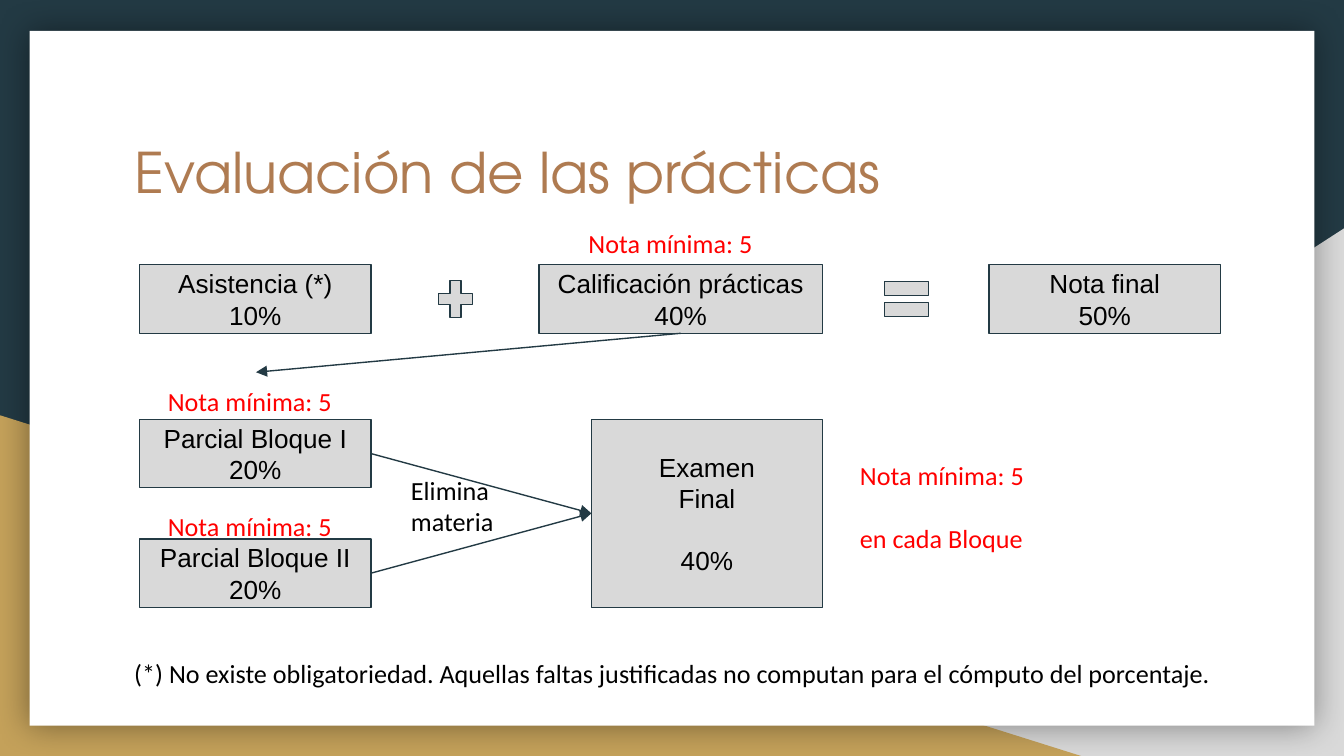
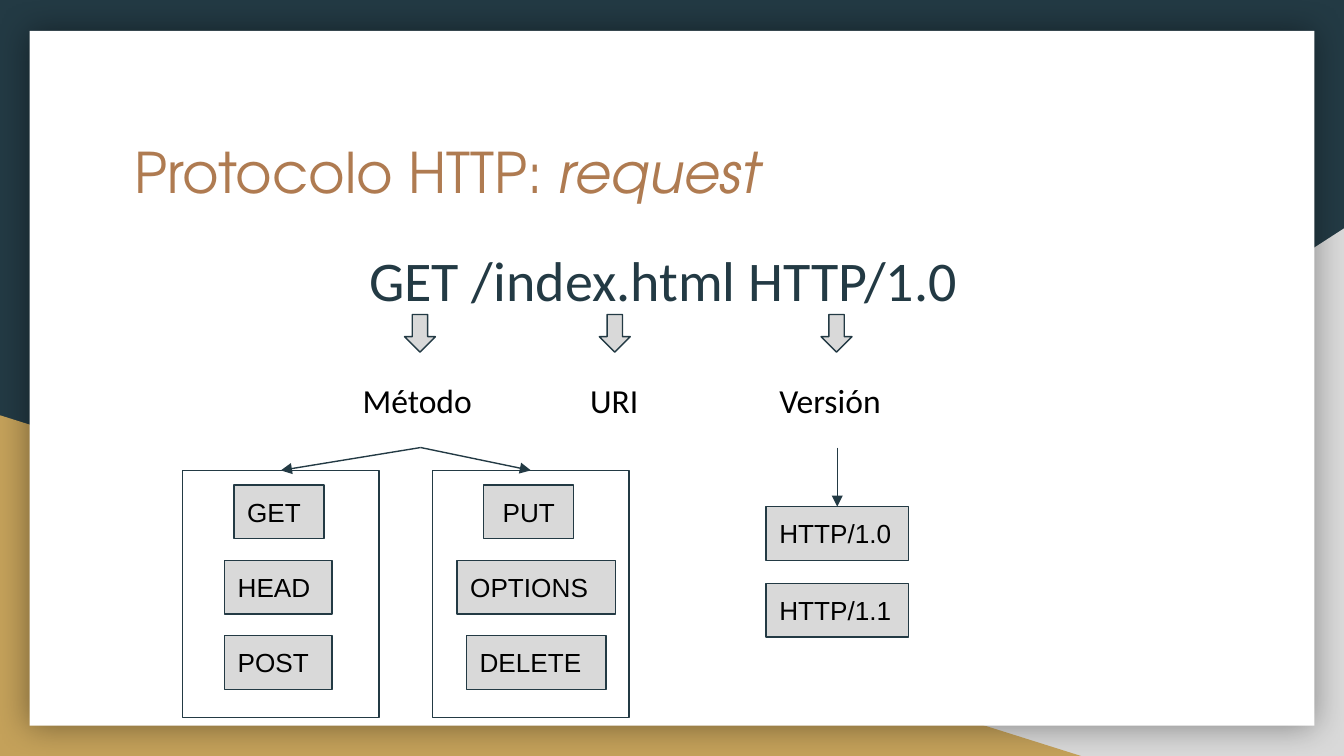
from dataclasses import dataclass

from lxml import etree
from pptx import Presentation
from pptx.dml.color import RGBColor
from pptx.enum.shapes import MSO_CONNECTOR, MSO_SHAPE
from pptx.enum.text import MSO_ANCHOR, MSO_AUTO_SIZE, PP_ALIGN
from pptx.oxml import parse_xml
from pptx.oxml.ns import nsdecls, qn
from pptx.util import Inches, Pt

RECT, TRIANGLE = MSO_SHAPE.RECTANGLE, MSO_SHAPE.RIGHT_TRIANGLE
PLUS, EQUAL, DOWN = MSO_SHAPE.MATH_PLUS, MSO_SHAPE.MATH_EQUAL, MSO_SHAPE.DOWN_ARROW
LEFT, CENTER = PP_ALIGN.LEFT, PP_ALIGN.CENTER
TOP, MIDDLE = MSO_ANCHOR.TOP, MSO_ANCHOR.MIDDLE
SIDE_TOP, SIDE_LEFT, SIDE_BOTTOM, SIDE_RIGHT = range(4)
TITLE_ONLY = 5


@dataclass(frozen=True)
class Theme:
    dark: str = "233A44"
    gold: str = "C4A15A"
    gray: str = "D9D9D9"
    paper: str = "FFFFFF"
    title: str = "AF7B51"
    text: str = "000000"
    warning: str = "FF0000"
    title_font: str = "TeX Gyre Adventor"
    note_font: str = "Calibri"
    box_font: str = "Arial"
    big: int = 30
    medium: int = 18
    small: int = 14
    line: float = 0.75


T = Theme()

# Shared backdrop: kind, place, fill
BACKDROP = [
    (TRIANGLE, (3.92, 1.7, 6.08, 3.93), T.gray),
    (TRIANGLE, (0, 3.09, 8.06, 2.54), T.gold),
    (RECT, (0.22, 0.23, 9.56, 5.17), T.paper),
]
TITLE_AT = (0.9, 0.92, 8.21, 1.04)

# Slide 1
GRADING_TITLE = [("Evaluación de las prácticas", False)]
GRADE_BOXES = {
    "attendance": (["Asistencia (*)", "10%"], (1.04, 1.97, 1.72, 0.51), 0),
    "practice": (["Calificación prácticas", "40%"], (4.01, 1.97, 2.11, 0.51), 0),
    "final": (["Nota final", "50%"], (7.36, 1.97, 1.72, 0.51), 0),
    "block 1": (["Parcial Bloque I", "20%"], (1.04, 3.12, 1.72, 0.51), 0),
    "block 2": (["Parcial Bloque II", "20%"], (1.04, 4.01, 1.72, 0.51), 0),
    "exam": (["Examen", "Final", "40%"], (4.4, 3.12, 1.72, 1.4), 16),
}
OPERATORS = [(PLUS, (3.22, 2.04, 0.34, 0.37)), (EQUAL, (6.52, 2, 0.45, 0.45))]
MINIMUM = "Nota mínima: 5"
MINIMUM_AT = {"practice": (4.28, 1.59), "block 1": (1.15, 2.77), "block 2": (1.15, 3.7)}
EXAM_MINIMUM = ([MINIMUM, "en cada Bloque"], (6.3, 3.32, 1.51, 0.99))
GRADE_NOTES = [
    (["Elimina", "materia"], (2.96, 3.43, 0.86, 0.77)),
    (["(*) No existe obligatoriedad. Aquellas faltas justificadas no computan "
      "para el cómputo del porcentaje."], (0.9, 4.79, 8.38, 0.51)),
]

# Slide 2
REQUEST_TITLE = [("Protocolo HTTP: ", False), ("request", True)]
REQUEST_LINE = ("GET /index.html HTTP/1.0", (2.65, 1.65, 4.75, 0.63))
# Part of the request: label left, arrow left, alignment
REQUEST_PARTS = {
    "Método": (2.6, 3.01, LEFT),
    "URI": (4.04, 4.46, CENTER),
    "Versión": (5.7, 6.11, LEFT),
}
# Frame left, then method, left, width, alignment
METHOD_GROUPS = [
    (1.36, [("GET", 1.74, 0.67, LEFT), ("HEAD", 1.67, 0.8, LEFT),
            ("POST", 1.67, 0.8, LEFT)]),
    (3.22, [("PUT", 3.6, 0.67, CENTER), ("OPTIONS", 3.4, 1.18, LEFT),
            ("DELETE", 3.47, 1.04, LEFT)]),
]
METHOD_TOP, METHOD_STEP = 3.61, 0.56
VERSIONS = ["HTTP/1.0", "HTTP/1.1"]
VERSION_TOP, VERSION_STEP = 3.77, 0.57
TAG_HEIGHT = 0.4


def rgb(code):
    return RGBColor.from_string(code)


def write(sp, lines, font=T.note_font, size=T.small, color=T.text, align=LEFT,
          anchor=TOP, gap=0, spacing=None):
    """Fill a shape with lines (text or (text, italic) runs); gap precedes the last."""
    tf = sp.text_frame
    tf.word_wrap = True
    tf.auto_size = MSO_AUTO_SIZE.NONE
    tf.vertical_anchor = anchor
    tf.margin_left = tf.margin_right = tf.margin_top = tf.margin_bottom = Inches(0.1)
    for i, line in enumerate(lines):
        p = tf.paragraphs[0] if i == 0 else tf.add_paragraph()
        p.alignment = align
        if spacing:
            p.line_spacing = spacing
        if gap and i == len(lines) - 1:
            p.space_before = Pt(gap)
        for text, italic in [(line, False)] if isinstance(line, str) else line:
            r = p.add_run()
            r.text = text
            r.font.name, r.font.size = font, Pt(size)
            r.font.color.rgb = rgb(color)
            if italic:
                r.font.italic = True


def add_shape(shapes, kind, at, fill=T.gray, line=T.dark):
    sp = shapes.add_shape(kind, *map(Inches, at))
    sp.shadow.inherit = False
    if fill:
        sp.fill.solid()
        sp.fill.fore_color.rgb = rgb(fill)
    else:
        sp.fill.background()
    if line:
        sp.line.color.rgb = rgb(line)
        sp.line.width = Pt(T.line)
    else:
        sp.line.fill.background()
    return sp


def add_box(shapes, lines, at, **style):
    sp = add_shape(shapes, RECT, at)
    write(sp, lines, font=T.box_font, anchor=MIDDLE, **style)
    return sp


def add_note(shapes, lines, at, **style):
    sp = shapes.add_textbox(*map(Inches, at))
    write(sp, lines, **style)
    return sp


def add_arrow(shapes, start, start_side, end, end_side):
    c = shapes.add_connector(MSO_CONNECTOR.STRAIGHT, 0, 0, 0, 0)
    c.begin_connect(start, start_side)
    c.end_connect(end, end_side)
    c.line.color.rgb = rgb(T.dark)
    c.line.width = Pt(T.line)
    etree.SubElement(c.line._get_or_add_ln(), qn("a:tailEnd"), type="triangle")
    etree.SubElement(c._element.spPr, qn("a:effectLst"))


def style_layout(layout, shapes):
    """Draw the backdrop with a slide's shapes and move it to the layout."""
    layout.background.fill.solid()
    layout.background.fill.fore_color.rgb = rgb(T.dark)
    title = layout.placeholders[0]
    title.left, title.top, title.width, title.height = map(Inches, TITLE_AT)

    parts = [add_shape(shapes, kind, at, fill, None) for kind, at, fill in BACKDROP]
    parts[0]._element.spPr.xfrm.set("flipH", "1")
    effects = parts[-1]._element.spPr.find(qn("a:effectLst"))
    effects.append(parse_xml(
        f'<a:outerShdw {nsdecls("a")} blurRad="{Pt(18)}" dist="0" dir="0" '
        'algn="ctr" rotWithShape="0"><a:srgbClr val="000000">'
        '<a:alpha val="40000"/></a:srgbClr></a:outerShdw>'))
    for i, sp in enumerate(parts):
        sp._element.nvSpPr.cNvPr.set("id", str(20 + i))
        layout.shapes._spTree.insert(2 + i, sp._element)


def add_title(slide, runs):
    write(slide.shapes.title, [runs], font=T.title_font, size=T.big, color=T.title)


def build_grading(slide):
    shapes = slide.shapes
    add_title(slide, GRADING_TITLE)
    boxes = {name: add_box(shapes, lines, at, align=CENTER, gap=gap)
             for name, (lines, at, gap) in GRADE_BOXES.items()}
    for kind, at in OPERATORS:
        add_shape(shapes, kind, at)
    minimums = {name: add_note(shapes, [MINIMUM], (*at, 1.51, 0.45), color=T.warning)
                for name, at in MINIMUM_AT.items()}
    add_arrow(shapes, boxes["practice"], SIDE_BOTTOM, minimums["block 1"], SIDE_TOP)
    for name in ("block 1", "block 2"):
        add_arrow(shapes, boxes[name], SIDE_RIGHT, boxes["exam"], SIDE_LEFT)
    add_note(shapes, *EXAM_MINIMUM, color=T.warning, gap=17)
    for lines, at in GRADE_NOTES:
        add_note(shapes, lines, at)


def build_request(slide):
    shapes = slide.shapes
    add_title(slide, REQUEST_TITLE)
    text, at = REQUEST_LINE
    add_note(shapes, [text], at, size=T.big, color=T.dark, spacing=1.15)

    labels = {}
    for name, (left, arrow_left, align) in REQUEST_PARTS.items():
        add_shape(shapes, DOWN, (arrow_left, 2.34, 0.23, 0.28))
        labels[name] = add_note(shapes, [name], (left, 2.73, 1.06, 0.6),
                                size=T.medium, align=align)

    for frame_left, methods in METHOD_GROUPS:
        group = shapes.add_group_shape().shapes
        for i, (name, left, width, align) in enumerate(methods):
            top = METHOD_TOP + i * METHOD_STEP
            add_box(group, [name], (left, top, width, TAG_HEIGHT), align=align)
        frame = add_shape(group, RECT, (frame_left, 3.5, 1.46, 1.84), fill=None)
        add_arrow(shapes, labels["Método"], SIDE_BOTTOM, frame, SIDE_TOP)

    versions = [add_box(shapes, [name],
                        (5.7, VERSION_TOP + i * VERSION_STEP, 1.06, TAG_HEIGHT))
                for i, name in enumerate(VERSIONS)]
    add_arrow(shapes, labels["Versión"], SIDE_BOTTOM, versions[0], SIDE_TOP)


def main():
    prs = Presentation()
    prs.slide_width = Inches(10)
    prs.slide_height = prs.slide_width * 9 // 16
    layout = prs.slide_layouts[TITLE_ONLY]
    grading, request = [prs.slides.add_slide(layout) for _ in range(2)]
    style_layout(layout, grading.shapes)
    build_grading(grading)
    build_request(request)
    prs.save("out.pptx")


if __name__ == "__main__":
    main()
